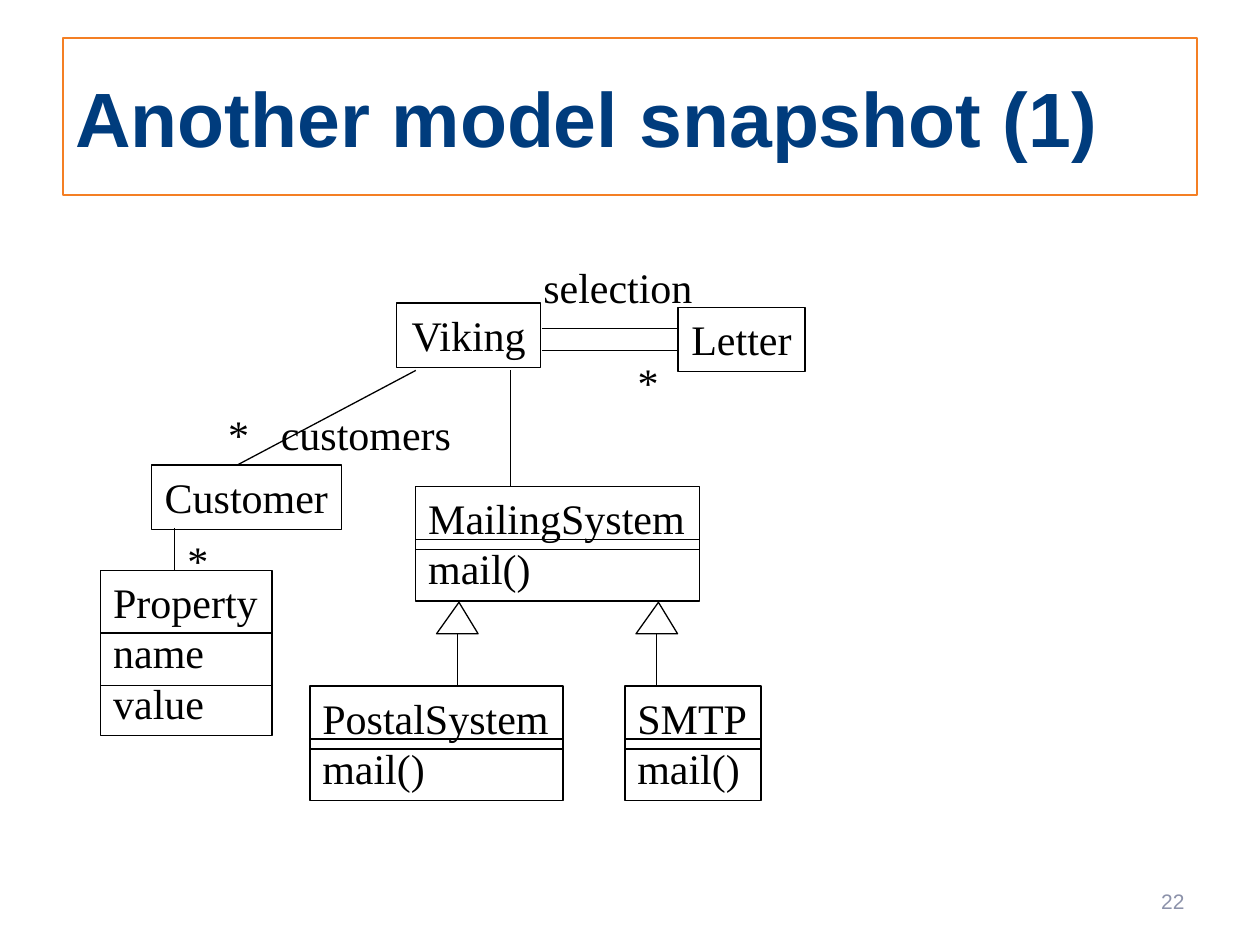
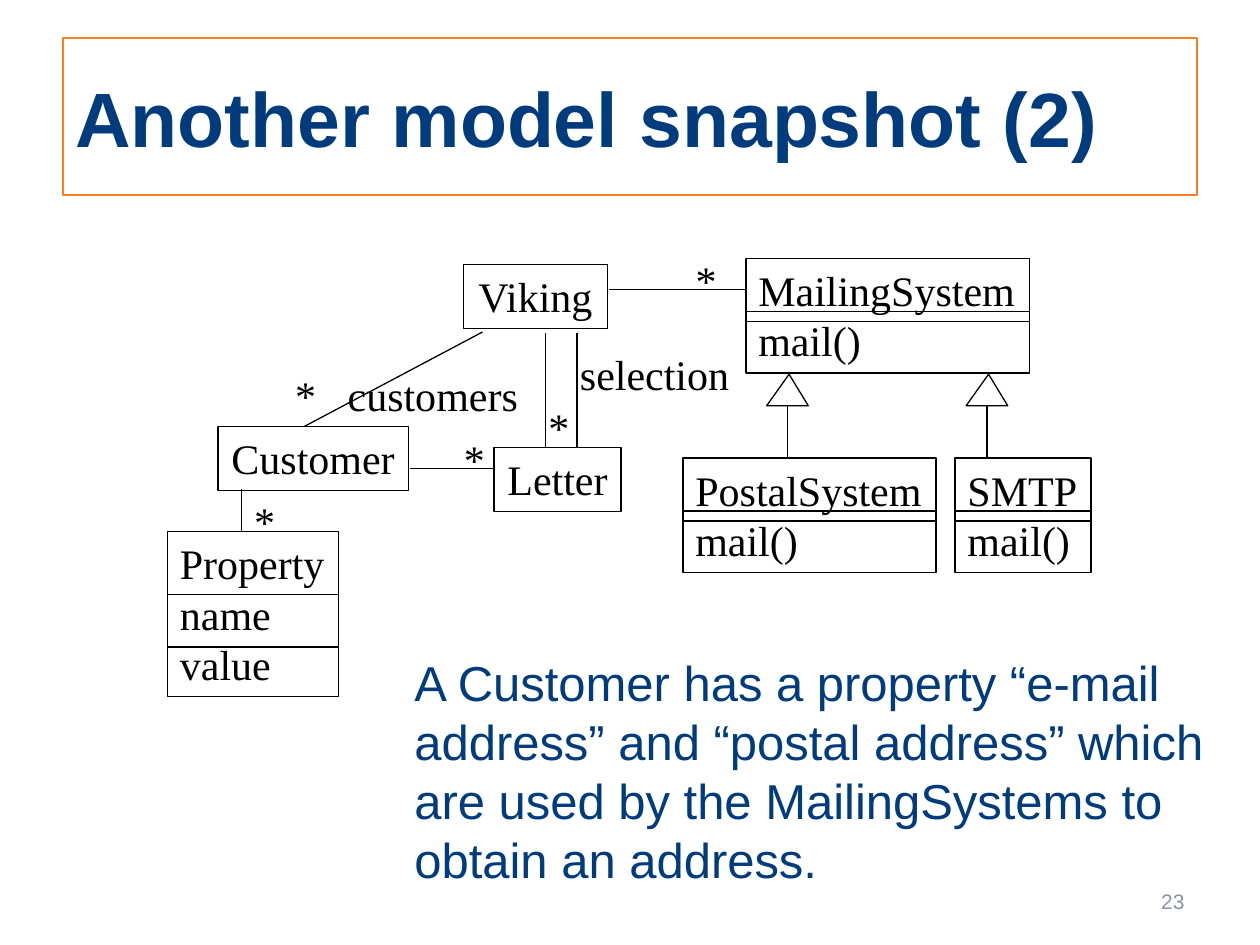
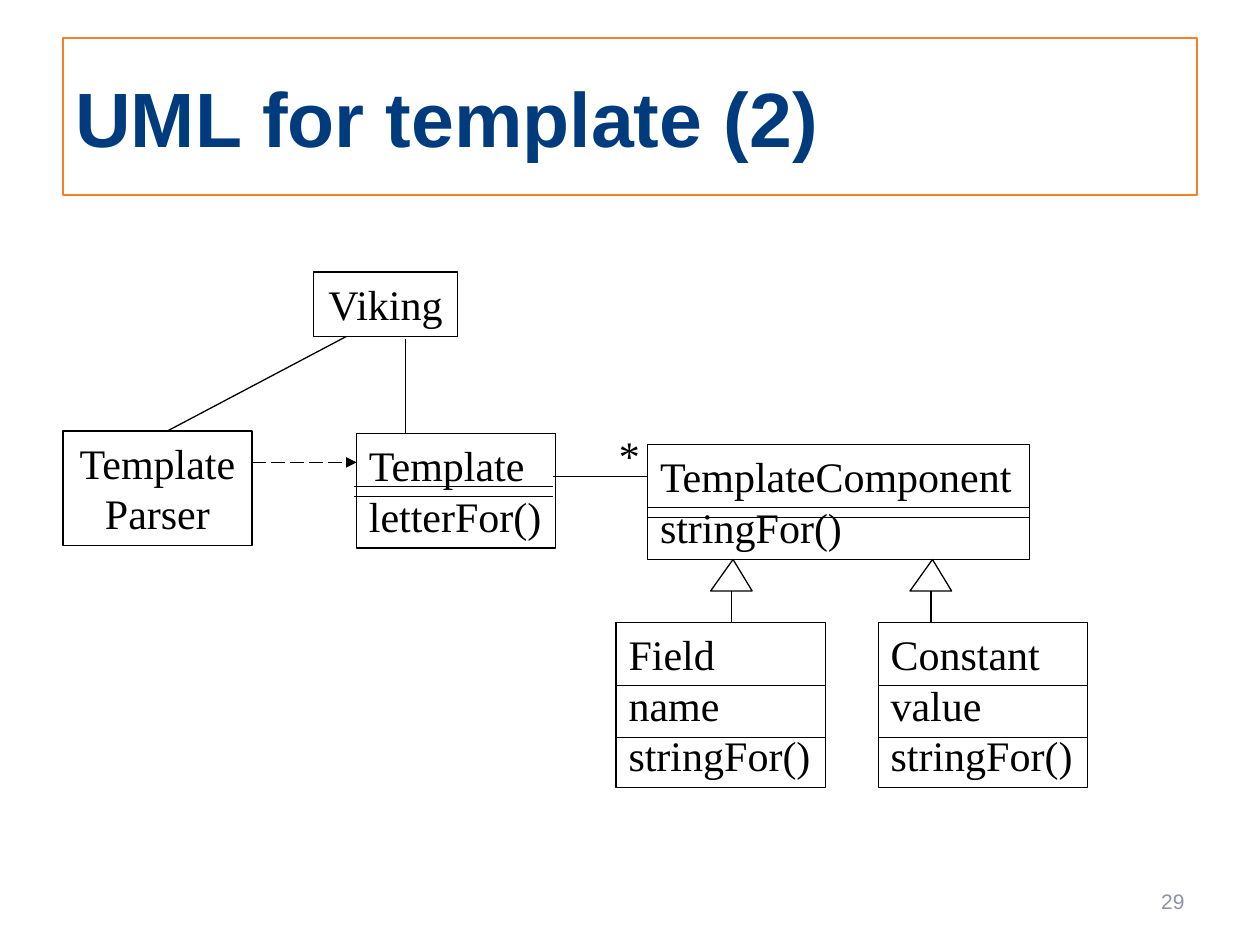
from dataclasses import dataclass
from typing import NamedTuple, Optional

from lxml import etree
from pptx import Presentation
from pptx import util as u
from pptx.dml.color import RGBColor
from pptx.enum import dml, shapes, text
from pptx.oxml.ns import qn

# Grid: 100 columns by 75 rows
SLIDE_WIDTH, SLIDE_HEIGHT = u.Inches(10), u.Inches(7.5)
COLUMN, ROW = SLIDE_WIDTH / 100, SLIDE_HEIGHT / 75

COLORS = {"navy": "003C7D", "orange": "F47F24", "gray": "8C92AA", "black": "000000"}
LEFT, CENTER, RIGHT = text.PP_ALIGN.LEFT, text.PP_ALIGN.CENTER, text.PP_ALIGN.RIGHT

# Class box proportions, in rows
LINE_HEIGHT, BOX_PADDING = 4.0, 1.1
RULE_OFFSETS = {1: (), 2: (4.2, 5.0), 3: (5.0, 9.15)}
TRIANGLE_WIDTH, TRIANGLE_HEIGHT, TRIANGLE_GAP = 3.3, 2.5, 15.83
STAR_WIDTH, LABEL_HEIGHT = 3.7, 5.0


class Frame(NamedTuple):
    left: float
    top: float
    width: float
    height: float

    def emu(self) -> tuple:
        return (u.Emu(round(self.left * COLUMN)), u.Emu(round(self.top * ROW)),
                u.Emu(round(self.width * COLUMN)), u.Emu(round(self.height * ROW)))


@dataclass(frozen=True)
class TextStyle:
    font: dict
    color: str
    align: int = LEFT
    anchor: int = text.MSO_ANCHOR.TOP
    wrap: bool = True
    grow: bool = False
    outline: Optional[str] = None
    outline_width: float = 0.75


@dataclass(frozen=True)
class ClassBox:
    left: float
    top: float
    width: float
    lines: tuple
    rule_shift: float = 0
    rule_drop: float = 0


@dataclass(frozen=True)
class Label:
    left: float
    top: float
    caption: str = "*"
    width: float = STAR_WIDTH


class Link(NamedTuple):
    x1: float
    y1: float
    x2: float
    y2: float


UML_FONT = {"name": "Times New Roman", "size": u.Pt(24)}
MIDDLE = text.MSO_ANCHOR.MIDDLE
TITLE = TextStyle({"name": "Arial", "size": u.Pt(44), "bold": True}, "navy",
                  anchor=MIDDLE, outline="orange", outline_width=1)
NUMBER = TextStyle({"name": "Arial", "size": u.Pt(12)}, "gray", RIGHT, MIDDLE)
BODY = TextStyle({"name": "Arial", "size": u.Pt(28)}, "navy", grow=True)
LABEL = TextStyle(UML_FONT, "black", CENTER, wrap=False, grow=True)
CLASS_NAME = TextStyle(UML_FONT, "black", CENTER, wrap=False, grow=True, outline="black")
CLASS_MEMBERS = TextStyle(UML_FONT, "black", wrap=False, grow=True, outline="black")
WRAPPED_NAME = TextStyle(UML_FONT, "black", CENTER, grow=True, outline="black")


def rgb(name: str) -> RGBColor:
    return RGBColor.from_string(COLORS[name])


# Drawing functions
def draw_outline(slide, kind: int, frame: Frame, color: str, width: float):
    shape = slide.shapes.add_shape(kind, *frame.emu())
    shape.shadow.inherit = False
    shape.fill.background()
    shape.line.color.rgb = rgb(color)
    shape.line.width = u.Pt(width)
    return shape


def draw_text(slide, frame: Frame, lines: tuple, style: TextStyle) -> None:
    if style.outline:
        shape = draw_outline(slide, shapes.MSO_SHAPE.RECTANGLE, frame,
                             style.outline, style.outline_width)
    else:
        shape = slide.shapes.add_textbox(*frame.emu())
    text_frame = shape.text_frame
    text_frame.word_wrap = style.wrap
    text_frame.vertical_anchor = style.anchor
    if style.grow:
        text_frame.auto_size = text.MSO_AUTO_SIZE.SHAPE_TO_FIT_TEXT
    for index, line in enumerate(lines):
        paragraph = text_frame.add_paragraph() if index else text_frame.paragraphs[0]
        paragraph.alignment = style.align
        run = paragraph.add_run()
        run.text = line
        for attribute, value in style.font.items():
            setattr(run.font, attribute, value)
        run.font.color.rgb = rgb(style.color)


def draw_link(slide, link: Link, width: float = 0.75):
    connector = slide.shapes.add_connector(
        shapes.MSO_CONNECTOR.STRAIGHT,
        *(u.Emu(round(value * unit)) for value, unit in zip(link, (COLUMN, ROW) * 2)))
    connector.line.color.rgb = rgb("black")
    connector.line.width = u.Pt(width)
    etree.SubElement(connector._element.spPr, qn("a:effectLst"))
    return connector


def draw_dependency(slide, link: Link) -> None:
    connector = draw_link(slide, link, width=1)
    connector.line.dash_style = dml.MSO_LINE.LONG_DASH
    line = connector.line._get_or_add_ln()
    etree.SubElement(line, qn("a:tailEnd"), type="triangle")


def draw_class(slide, box: ClassBox) -> None:
    count = len(box.lines)
    frame = Frame(box.left, box.top, box.width, BOX_PADDING + LINE_HEIGHT * count)
    draw_text(slide, frame, box.lines, CLASS_NAME if count == 1 else CLASS_MEMBERS)
    left = box.left + box.rule_shift
    for offset in RULE_OFFSETS[count]:
        y = box.top + offset + box.rule_drop
        draw_link(slide, Link(left, y, left + box.width, y))


def draw_diagram(slide, boxes=(), links=(), labels=()) -> None:
    for box in boxes:
        draw_class(slide, box)
    for link in links:
        draw_link(slide, link)
    for label in labels:
        draw_text(slide, Frame(label.left, label.top, label.width, LABEL_HEIGHT),
                  (label.caption,), LABEL)


def draw_inheritance(slide, left: float, top: float, child_top: float) -> None:
    for index in range(2):
        triangle_left = left + index * TRIANGLE_GAP
        triangle = draw_outline(
            slide, shapes.MSO_SHAPE.ISOSCELES_TRIANGLE,
            Frame(triangle_left, top, TRIANGLE_WIDTH, TRIANGLE_HEIGHT), "black", 0.75)
        triangle.adjustments[0] = 0.54
        stem = triangle_left + TRIANGLE_WIDTH / 2
        draw_link(slide, Link(stem, top + TRIANGLE_HEIGHT, stem, child_top))


def draw_customer_model(slide, x: float, y: float) -> None:
    """Viking, Customer and Property, with the Viking box at (x, y)."""
    draw_diagram(
        slide,
        boxes=(ClassBox(x, y, 11.4, ("Viking",)),
               ClassBox(x - 19.5, y + 12.85, 15.1, ("Customer",)),
               ClassBox(x - 23.5, y + 21.2, 13.6, ("Property", "name", "value"))),
        links=(Link(x + 1.5, y + 5.35, x - 12.65, y + 12.85),
               Link(x - 17.65, y + 17.85, x - 17.65, y + 21.2)),
        labels=(Label(x - 10.2, y + 7.85, "customers", 15.5),
                Label(x - 14.4, y + 7.85),
                Label(x - 17.65, y + 17.85)))


def draw_mailing_model(slide, x: float, y: float, postal_left: float) -> None:
    """MailingSystem at (x, y) with its two subclasses."""
    child_top = y + 15.85
    draw_diagram(slide, boxes=(
        ClassBox(x, y, 22.5, ("MailingSystem", "mail()")),
        ClassBox(postal_left, child_top, 20.1, ("PostalSystem", "mail()")),
        ClassBox(x + 16.6, child_top, 10.8, ("SMTP", "mail()"))))
    draw_inheritance(slide, x + 1.65, y + 9.2, child_top)


def add_slide(presentation, title: str, number: int):
    slide = presentation.slides.add_slide(presentation.slide_layouts[6])
    draw_text(slide, Frame(5, 3, 90, 12.5), (title,), TITLE)
    draw_text(slide, Frame(71.7, 69.5, 23.3, 4), (str(number),), NUMBER)
    return slide


# Slides
def build_first_snapshot(presentation) -> None:
    slide = add_slide(presentation, "Another model snapshot (1)", 22)
    draw_customer_model(slide, 31.5, 24.05)
    draw_mailing_model(slide, 33, 38.6, postal_left=24.6)
    draw_diagram(
        slide,
        boxes=(ClassBox(53.8, 24.4, 10.1, ("Letter",)),),
        links=(Link(43, 26.1, 53.8, 26.1), Link(43, 27.8, 53.8, 27.8),
               Link(40.5, 29.4, 40.5, 38.6)),
        labels=(Label(42.1, 20.3, "selection", 13.9), Label(49.6, 27.8)))


def build_second_snapshot(presentation) -> None:
    slide = add_slide(presentation, "Another model snapshot (2)", 23)
    draw_customer_model(slide, 36.8, 21)
    draw_mailing_model(slide, 59.2, 20.5, postal_left=54.2)
    draw_diagram(
        slide,
        boxes=(ClassBox(39.2, 35.5, 10.1, ("Letter",)),),
        links=(Link(43.3, 26.4, 43.3, 35.5), Link(45.8, 26.4, 45.8, 35.5),
               Link(48.3, 23, 59.2, 23), Link(39.2, 37.2, 32.5, 37.2)),
        labels=(Label(45, 27.2, "selection", 13.9), Label(35.8, 33.9),
                Label(42.5, 31.4), Label(54.2, 19.7)))
    draw_text(slide, Frame(31.9, 51.3, 65.8, 19.9), (
        "A Customer has a property “e-mail address” and “postal address” "
        "which are used by the MailingSystems to obtain an address.",), BODY)


def build_template_model(presentation) -> None:
    slide = add_slide(presentation, "UML for template (2)", 29)
    draw_text(slide, Frame(5, 34.2, 15, 9.1), ("TemplateParser",), WRAPPED_NAME)
    draw_dependency(slide, Link(20, 36.7, 28.3, 36.7))
    draw_diagram(
        slide,
        boxes=(ClassBox(24.9, 21.6, 11.4, ("Viking",)),
               ClassBox(28.3, 34.4, 15.8, ("Template", "letterFor()"), rule_shift=-0.2),
               ClassBox(51.4, 35.3, 30.3, ("TemplateComponent", "stringFor()"),
                        rule_drop=0.8),
               ClassBox(48.9, 49.4, 16.6, ("Field", "name", "stringFor()")),
               ClassBox(69.7, 49.4, 16.6, ("Constant", "value", "stringFor()"))),
        links=(Link(27.5, 26.7, 13.3, 34.2), Link(32.2, 26.9, 32.2, 34.4),
               Link(51.4, 37.8, 43.9, 37.8)),
        labels=(Label(48.1, 33.6),))
    draw_inheritance(slide, 56.4, 44.4, 49.4)


def main() -> None:
    presentation = Presentation()
    presentation.slide_width, presentation.slide_height = SLIDE_WIDTH, SLIDE_HEIGHT
    build_first_snapshot(presentation)
    build_second_snapshot(presentation)
    build_template_model(presentation)
    presentation.save("out.pptx")


if __name__ == "__main__":
    main()
